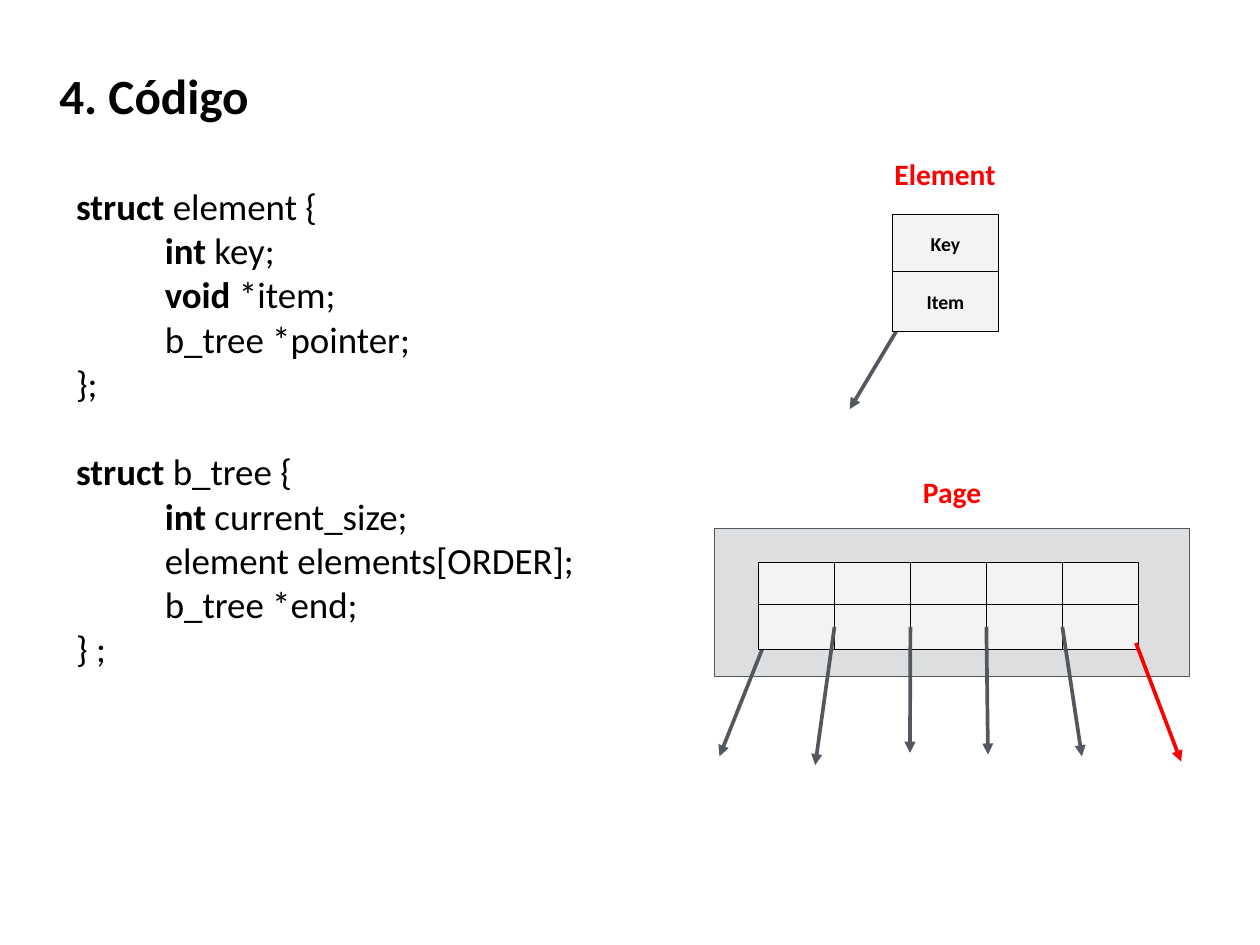
from dataclasses import dataclass

import pptx
import pptx.dml.color
import pptx.enum.shapes
import pptx.enum.text
import pptx.oxml
import pptx.oxml.ns
import pptx.util

Inches = pptx.util.Inches
Pt = pptx.util.Pt
RGBColor = pptx.dml.color.RGBColor
Align = pptx.enum.text.PP_ALIGN
Anchor = pptx.enum.text.MSO_ANCHOR

BLACK = RGBColor(0x00, 0x00, 0x00)
RED = RGBColor(0xFF, 0x00, 0x00)
SLATE = RGBColor(0x53, 0x58, 0x5F)
PAGE_GRAY = RGBColor(0xDC, 0xDE, 0xE0)
CELL_GRAY = RGBColor(0xF3, 0xF3, 0xF3)
FONT = "Calibri"
LEFT_SIDE = 1


@dataclass(frozen=True)
class Box:
    left: float
    top: float
    width: float
    height: float

    def lengths(self) -> tuple:
        return tuple(Inches(v) for v in (self.left, self.top, self.width, self.height))


@dataclass(frozen=True)
class Pointer:
    start: tuple[float, float]
    end: tuple[float, float]
    color: RGBColor = SLATE


@dataclass(frozen=True)
class CodeLine:
    keyword: str
    rest: str
    space_before: float = 0


CODE = [
    CodeLine("struct ", "element {"),
    CodeLine("\tint ", "key;"),
    CodeLine("\tvoid", " *item;"),
    CodeLine("", "\tb_tree *pointer;"),
    CodeLine("", "};"),
    CodeLine("struct ", "b_tree {", space_before=36),
    CodeLine("\tint", " current_size;"),
    CodeLine("", "\telement elements[ORDER];"),
    CodeLine("", "\tb_tree *end;"),
    CodeLine("", "} ;"),
]

ELEMENT_POINTER = Pointer((10.17, 3.65), (9.59, 4.62))
FIRST_POINTER = Pointer((8.63, 7.26), (8.12, 8.54))
END_POINTER = Pointer((12.82, 7.26), (13.33, 8.6), RED)
CHILD_ENDS = [(9.2, 8.64), (10.27, 8.5), (11.15, 8.52), (12.21, 8.54)]
PAGE_COLUMNS = 5
FIRST_COLUMN, LAST_COLUMN = 8.56, 11.99
COLUMN_PITCH = (LAST_COLUMN - FIRST_COLUMN) / (PAGE_COLUMNS - 1)


def write_text(frame, lines: list[CodeLine], *, size: float, color: RGBColor = BLACK,
               align=Align.LEFT, anchor=Anchor.TOP, inset: float = 0.1,
               line_height: float | None = None, tab: float | None = None) -> None:
    frame.word_wrap = True
    frame.auto_size = pptx.enum.text.MSO_AUTO_SIZE.NONE
    frame.vertical_anchor = anchor
    frame.margin_left = frame.margin_right = Inches(inset)
    frame.margin_top = frame.margin_bottom = Inches(inset)
    for index, line in enumerate(lines):
        paragraph = frame.add_paragraph() if index else frame.paragraphs[0]
        paragraph.alignment = align
        paragraph.space_before = Pt(line.space_before)
        if line_height:
            paragraph.line_spacing = Pt(line_height)
        if tab:
            paragraph._p.get_or_add_pPr().append(pptx.oxml.parse_xml(
                f'<a:tabLst {pptx.oxml.ns.nsdecls("a")}>'
                f'<a:tab pos="{Inches(tab)}" algn="l"/></a:tabLst>'))
        for text, bold in ((line.keyword, True), (line.rest, False)):
            if text:
                run = paragraph.add_run()
                run.text = text
                run.font.name = FONT
                run.font.size = Pt(size)
                run.font.bold = bold
                run.font.color.rgb = color


def add_label(slide, text: str, box: Box) -> None:
    label = slide.shapes.add_textbox(*box.lengths())
    write_text(label.text_frame, [CodeLine(text, "")], size=24, color=RED, align=Align.CENTER)


def add_cell(slide, box: Box, *, fill: RGBColor = CELL_GRAY, line: RGBColor = BLACK,
             text: str = ""):
    cell = slide.shapes.add_shape(pptx.enum.shapes.MSO_SHAPE.RECTANGLE, *box.lengths())
    cell.shadow.inherit = False
    cell.fill.solid()
    cell.fill.fore_color.rgb = fill
    cell.line.color.rgb = line
    cell.line.width = Pt(0.75)
    if text:
        write_text(cell.text_frame, [CodeLine(text, "")], size=16,
                   align=Align.CENTER, anchor=Anchor.MIDDLE)
    return cell


def add_pointer(slide, pointer: Pointer):
    arrow = slide.shapes.add_connector(
        pptx.enum.shapes.MSO_CONNECTOR.STRAIGHT,
        *(Inches(v) for v in pointer.start + pointer.end))
    arrow.line.color.rgb = pointer.color
    arrow.line.width = Pt(3)
    tail = pptx.oxml.parse_xml(
        f'<a:tailEnd {pptx.oxml.ns.nsdecls("a")} type="triangle"/>')
    arrow.line._get_or_add_ln().append(tail)
    arrow._element.spPr.append(
        pptx.oxml.parse_xml(f'<a:effectLst {pptx.oxml.ns.nsdecls("a")}/>'))
    return arrow


def draw_element(slide) -> None:
    add_label(slide, "Element", Box(9.71, 1.66, 1.91, 0.67))
    add_pointer(slide, ELEMENT_POINTER)
    for row, field in enumerate(("Key", "Item")):
        add_cell(slide, Box(10.07, 2.42 + 0.65 * row, 1.2, 0.67), text=field)


def draw_page(slide) -> None:
    add_label(slide, "Page", Box(9.79, 5.25, 1.91, 0.67))
    add_cell(slide, Box(8.06, 5.97, 5.36, 1.67), fill=PAGE_GRAY, line=SLATE)
    add_pointer(slide, FIRST_POINTER)
    item_cells = []
    for column in range(PAGE_COLUMNS):
        left = FIRST_COLUMN + COLUMN_PITCH * column
        add_cell(slide, Box(left, 6.35, 0.86, 0.5))
        item_cells.append(add_cell(slide, Box(left, 6.83, 0.86, 0.5)))
    for item_cell, end in zip(item_cells[1:], CHILD_ENDS):
        start = (item_cell.left.inches, 7.08)
        add_pointer(slide, Pointer(start, end)).begin_connect(item_cell, LEFT_SIDE)
    add_pointer(slide, END_POINTER)


def main() -> None:
    deck = pptx.Presentation()
    deck.slide_width = Inches(14.22)
    deck.slide_height = Inches(10.67)
    slide = deck.slides.add_slide(deck.slide_layouts.get_by_name("Title Only"))

    title = slide.shapes.title
    title.left, title.top, title.width, title.height = Box(0.61, 0.48, 13, 1.18).lengths()
    write_text(title.text_frame, [CodeLine("4. Código", "")], size=40,
               anchor=Anchor.MIDDLE, inset=0.06)

    code = slide.shapes.add_textbox(*Box(0.8, 2.01, 12.4, 7.94).lengths())
    write_text(code.text_frame, CODE, size=30, inset=0.06, line_height=36, tab=1)

    draw_element(slide)
    draw_page(slide)
    deck.save("out.pptx")


if __name__ == "__main__":
    main()
